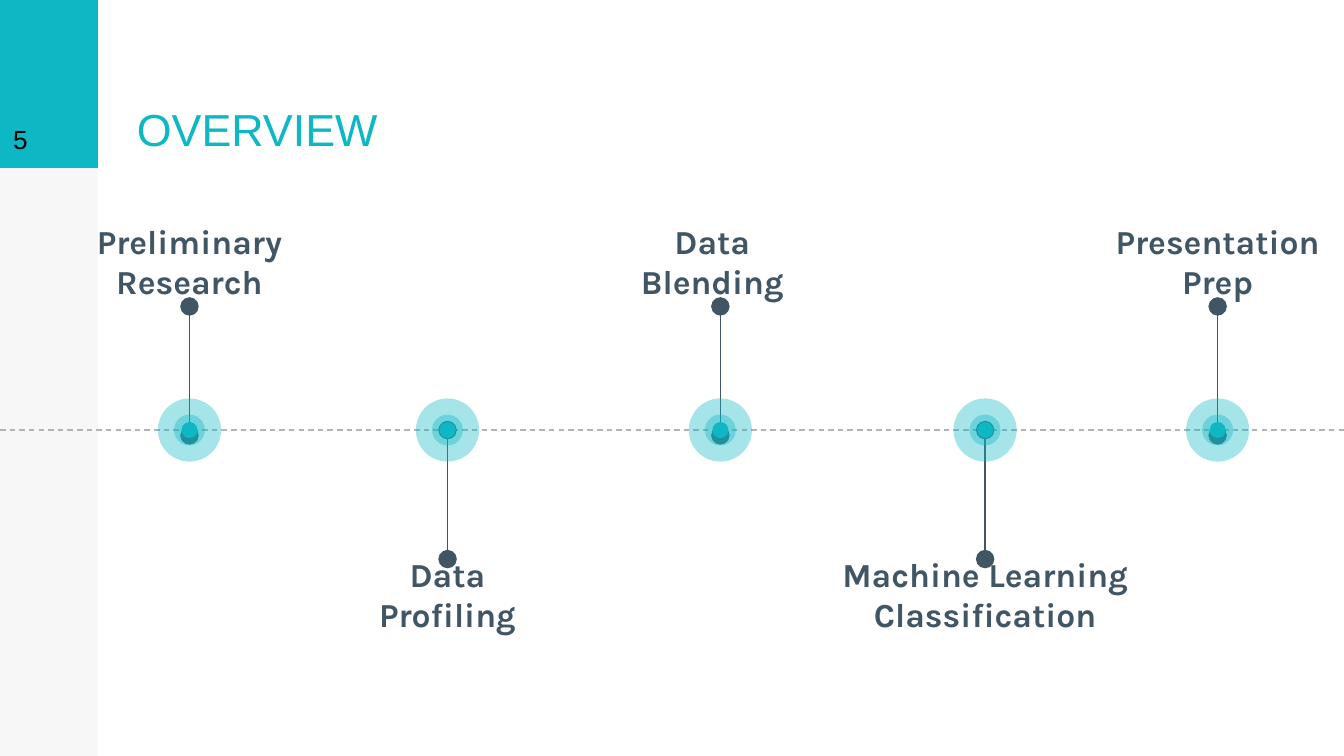
from dataclasses import dataclass

from lxml import etree
from pptx import Presentation
from pptx import util as u
from pptx.dml.color import RGBColor
from pptx.enum import dml, shapes, text
from pptx.oxml import ns


@dataclass(frozen=True)
class Theme:
    teal: str = "0DB7C4"
    slate: str = "415665"
    gray: str = "B3B3B3"
    black: str = "000000"
    sans: str = "Arial"
    label: str = "Karla"
    head_pt: int = 24
    label_pt: int = 18
    page_pt: int = 14
    line_pt: float = 0.75


@dataclass(frozen=True)
class Box:
    """Left, top, width and height in grid cells."""
    x: float
    y: float
    w: float
    h: float


@dataclass(frozen=True)
class Stop:
    """A step on the timeline: its column, label and label width."""
    col: float
    name: str
    width: float
    up: bool
    shift: float = 0


THEME = Theme()

# Grid: 100 columns by 56.25 rows of square cells
CELL = u.Inches(0.1)
COLS, ROWS = 100, 56.25
SIDE, HEAD = 7.3, 12.5
AXIS = 32
STOPS = [
    Stop(14.1, "Preliminary Research", 16, True),
    Stop(33.3, "Data Profiling", 13.6, False),
    Stop(53.6, "Data Blending", 13.6, True, -0.6),
    Stop(73.3, "Machine Learning Classification", 26.9, False),
    Stop(90.6, "Presentation Prep", 17.3, True),
]
# Ring diameter in cells and opacity in percent
RINGS = [(4.7, 37), (2.3, 37), (1.2, 100)]


def cells(num: float) -> int:
    return round(num * CELL)


def place(box: Box) -> list[int]:
    return [cells(v) for v in (box.x, box.y, box.w, box.h)]


def add_fill(group, kind, box: Box, color: str, alpha: int = 100):
    shape = group.add_shape(kind, *place(box))
    shape.shadow.inherit = False
    shape.line.fill.background()
    shape.fill.solid()
    shape.fill.fore_color.rgb = RGBColor.from_string(color)
    if alpha < 100:
        tone = shape.fill._xPr.find(ns.qn("a:solidFill"))[0]
        etree.SubElement(tone, ns.qn("a:alpha"), val=str(alpha * 1000))
    return shape


def add_text(group, box: Box, words: str, font: str, size: int, color: str,
             bold: bool = False, align=text.PP_ALIGN.LEFT,
             anchor=text.MSO_ANCHOR.BOTTOM) -> None:
    frame = group.add_textbox(*place(box)).text_frame
    frame.word_wrap = True
    frame.vertical_anchor = anchor
    frame.margin_left = frame.margin_right = CELL
    frame.margin_top = frame.margin_bottom = CELL
    frame.text = words
    para = frame.paragraphs[0]
    para.alignment = align
    face = para.runs[0].font
    face.name, face.size, face.bold = font, u.Pt(size), bold
    face.color.rgb = RGBColor.from_string(color)


def add_line(group, start: tuple, end: tuple, color: str, dots: bool = False):
    line = group.add_connector(shapes.MSO_CONNECTOR.STRAIGHT,
                               *[cells(v) for v in start + end])
    line.line.width = u.Pt(THEME.line_pt)
    line.line.color.rgb = RGBColor.from_string(color)
    if dots:
        stroke = line.line._get_or_add_ln()
        for tag in ("a:headEnd", "a:tailEnd"):
            etree.SubElement(stroke, ns.qn(tag), type="oval", w="lg", len="lg")
    etree.SubElement(line._element.spPr, ns.qn("a:effectLst"))
    return line


def add_stop(group, stop: Stop) -> None:
    # Stem with a dot at each end
    near, far, top = (32.4, 22.8, 15.4) if stop.up else (AXIS, 41.6, 40.2)
    add_line(group, (stop.col, near), (stop.col, far), THEME.slate, dots=True)
    # Label
    left = stop.col + stop.shift - stop.width / 2
    add_text(group, Box(left, top, stop.width, 4.5), stop.name, THEME.label,
             THEME.label_pt, THEME.slate, True, text.PP_ALIGN.CENTER,
             text.MSO_ANCHOR.TOP)
    # Concentric rings
    mark = group.add_group_shape().shapes
    for size, alpha in RINGS:
        box = Box(stop.col - size / 2, AXIS - size / 2, size, size)
        add_fill(mark, shapes.MSO_SHAPE.OVAL, box, THEME.teal, alpha)


def main() -> None:
    deck = Presentation()
    deck.slide_width, deck.slide_height = cells(COLS), cells(ROWS)
    group = deck.slides.add_slide(deck.slide_layouts[6]).shapes

    # Side band and page number
    rect = shapes.MSO_SHAPE.RECTANGLE
    corner = Box(0, 0, SIDE, HEAD)
    add_fill(group, rect, Box(0, 0, SIDE, ROWS), THEME.black, 3)
    add_fill(group, rect, corner, THEME.teal)
    add_text(group, corner, "5", THEME.sans, THEME.page_pt, THEME.black)

    # Title
    add_text(group, Box(9.2, 0.1, 38.9, HEAD), "OVERVIEW", THEME.sans,
             THEME.head_pt, THEME.teal)

    # Timeline
    axis = add_line(group, (0, AXIS), (COLS, AXIS), THEME.gray)
    axis.line.dash_style = dml.MSO_LINE.DASH
    for stop in STOPS:
        add_stop(group, stop)

    deck.save("out.pptx")


if __name__ == "__main__":
    main()
